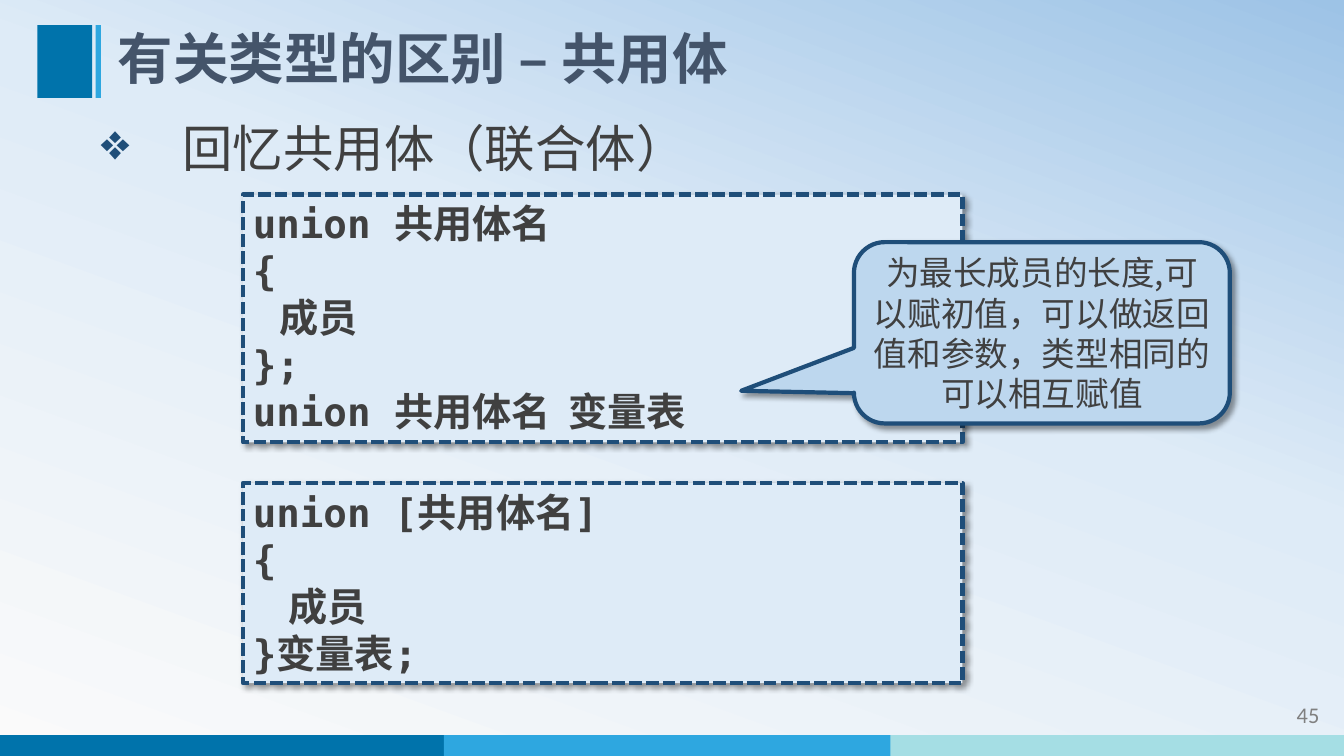
from pptx import Presentation
from pptx.dml.color import RGBColor as RGB
from pptx.enum.dml import MSO_LINE as Dash
from pptx.enum.shapes import MSO_SHAPE as Kind
from pptx.enum.text import MSO_ANCHOR as Anchor, PP_ALIGN as Align
from pptx.oxml import parse_xml
from pptx.oxml.ns import nsdecls
from pptx.util import Pt

NAVY = RGB(0x1F, 0x4E, 0x79)
BLUE = RGB(0x00, 0x73, 0xAB)
SKY = RGB(0x2E, 0xA7, 0xE0)
AQUA = RGB(0xA5, 0xDE, 0xE4)
PALE = RGB(0xDE, 0xEB, 0xF7)
SOFT = RGB(0xBD, 0xD7, 0xEE)
DEEP = RGB(0x9D, 0xC3, 0xE6)
SNOW = RGB(0xFA, 0xFA, 0xFA)
SLATE = RGB(0x44, 0x54, 0x6A)
DARK = RGB(0x40, 0x40, 0x40)
GRAY = RGB(0x80, 0x80, 0x80)
BLACK = RGB(0, 0, 0)

HAN = "Noto Sans CJK SC"
MONO = "DejaVu Sans Mono"

HEAD = dict(name=HAN, size=Pt(39.6), bold=True, color=SLATE)
BODY = dict(name=HAN, size=Pt(36), color=DARK)
CODE = dict(name=MONO, size=Pt(28), bold=True, color=DARK)
NOTE = dict(name=HAN, size=Pt(24), color=DARK)
PAGE = dict(name="Calibri", size=Pt(16), color=GRAY)


def xml(tag, attrs="", inner=""):
    return parse_xml(f"<a:{tag} {nsdecls('a')} {attrs}>{inner}</a:{tag}>")


def style(font, form):
    for key, val in form.items():
        if key == "color":
            font.color.rgb = val
        else:
            setattr(font, key, val)


def write(shape, lines, form, align=Align.LEFT, pitch=None, anchor=Anchor.TOP):
    frame = shape.text_frame
    frame.word_wrap = True
    frame.vertical_anchor = anchor
    for i, line in enumerate(lines):
        para = frame.add_paragraph() if i else frame.paragraphs[0]
        para.alignment = align
        para.line_spacing = pitch
        run = para.add_run()
        run.text = line
        style(run.font, form)
        run.font._element.append(xml("ea", f'typeface="{HAN}"'))
    return frame


def label(slide, box, lines, form, **opts):
    shape = slide.shapes.add_textbox(*map(Pt, box))
    return write(shape, lines, form, **opts)


def block(slide, box, fill, kind=Kind.RECTANGLE):
    shape = slide.shapes.add_shape(kind, *map(Pt, box))
    shape.shadow.inherit = False
    shape.fill.solid()
    shape.fill.fore_color.rgb = fill
    shape.line.fill.background()
    return shape


def panel(slide, box, fill, kind=Kind.RECTANGLE, dash=None):
    shape = block(slide, box, fill, kind)
    shape.line.color.rgb = NAVY
    for key, val in dict(width=Pt(3), dash_style=dash).items():
        setattr(shape.line, key, val)
    shade = (f'<a:outerShdw blurRad="{Pt(4)}" dist="{Pt(3)}" dir="2700000" '
             f'algn="tl" rotWithShape="0"><a:srgbClr val="{BLACK}">'
             '<a:alpha val="40000"/></a:srgbClr></a:outerShdw>')
    props = shape._element.spPr
    props.remove(props.find(xml("effectLst").tag))
    props.append(xml("effectLst", inner=shade))
    return shape


def backdrop(slide):
    stops = "".join(
        f'<a:gs pos="{pos * 1000}"><a:srgbClr val="{tone}"/></a:gs>'
        for pos, tone in ((0, SNOW), (58, PALE), (100, DEEP)))
    slide._element.cSld.insert(0, parse_xml(
        f'<p:bg {nsdecls("p", "a")}><p:bgPr><a:gradFill rotWithShape="1">'
        f'<a:gsLst>{stops}</a:gsLst><a:lin ang="{290 * 60000}" scaled="0"/>'
        '</a:gradFill><a:effectLst/></p:bgPr></p:bg>'))


def footer(slide, box):
    left, top, width, height = box
    for i, tone in enumerate((BLUE, SKY, AQUA)):
        block(slide, (left + i * 319, top, 324, height), tone)
    label(slide, (left + width - 125, top - 27.5, 114.5, 29), ["45"], PAGE,
          align=Align.RIGHT)


def header(slide, box):
    left, top, width, height = box
    block(slide, (left, top, 39, height), BLUE)
    block(slide, (left + 41.5, top, 3.75, height), SKY)
    label(slide, (left + 50.4, top, width - 50.4, height),
          ["有关类型的区别 – 共用体"], HEAD, pitch=0.9, anchor=Anchor.MIDDLE)


def topic(slide, box):
    frame = label(slide, box, ["回忆共用体（联合体）"], BODY, pitch=Pt(43.2))
    props = frame.paragraphs[0]._p.get_or_add_pPr()
    props.set("marL", str(Pt(58.3)))
    props.set("indent", str(-Pt(58.3)))
    props.append(xml("buClr", inner=f'<a:srgbClr val="{NAVY}"/>'))
    props.append(xml("buChar", 'char="❖"'))


def code(slide, box, lines):
    shape = panel(slide, box, PALE, dash=Dash.SQUARE_DOT)
    write(shape, lines, CODE, pitch=Pt(33.6))


def callout(slide, box):
    shape = panel(slide, box, SOFT, Kind.ROUNDED_RECTANGULAR_CALLOUT)
    for i, val in enumerate((-0.8, 0.32, 0.17)):
        shape.adjustments[i] = val
    text = "为最长成员的长度,可以赋初值，可以做返回值和参数，类型相同的可以相互赋值"
    write(shape, [text], NOTE, align=Align.CENTER, pitch=Pt(28.8),
          anchor=Anchor.MIDDLE)


def main():
    deck = Presentation()
    deck.slide_width, deck.slide_height = Pt(960), Pt(540)
    slide = deck.slides.add_slide(deck.slide_layouts[6])
    backdrop(slide)
    footer(slide, (-2, 525, 962, 15))
    header(slide, (26.8, 18, 832, 52))
    topic(slide, (65, 80, 863, 51))
    code(slide, (173.5, 139, 514, 177),
         ["union 共用体名", "{", "   成员", "};", "union 共用体名  变量表"])
    code(slide, (173.5, 345, 514, 143),
         ["union [共用体名]", "{", "    成员", "}变量表;"])
    callout(slide, (610, 173, 268.5, 129.5))
    deck.save("out.pptx")


if __name__ == "__main__":
    main()
